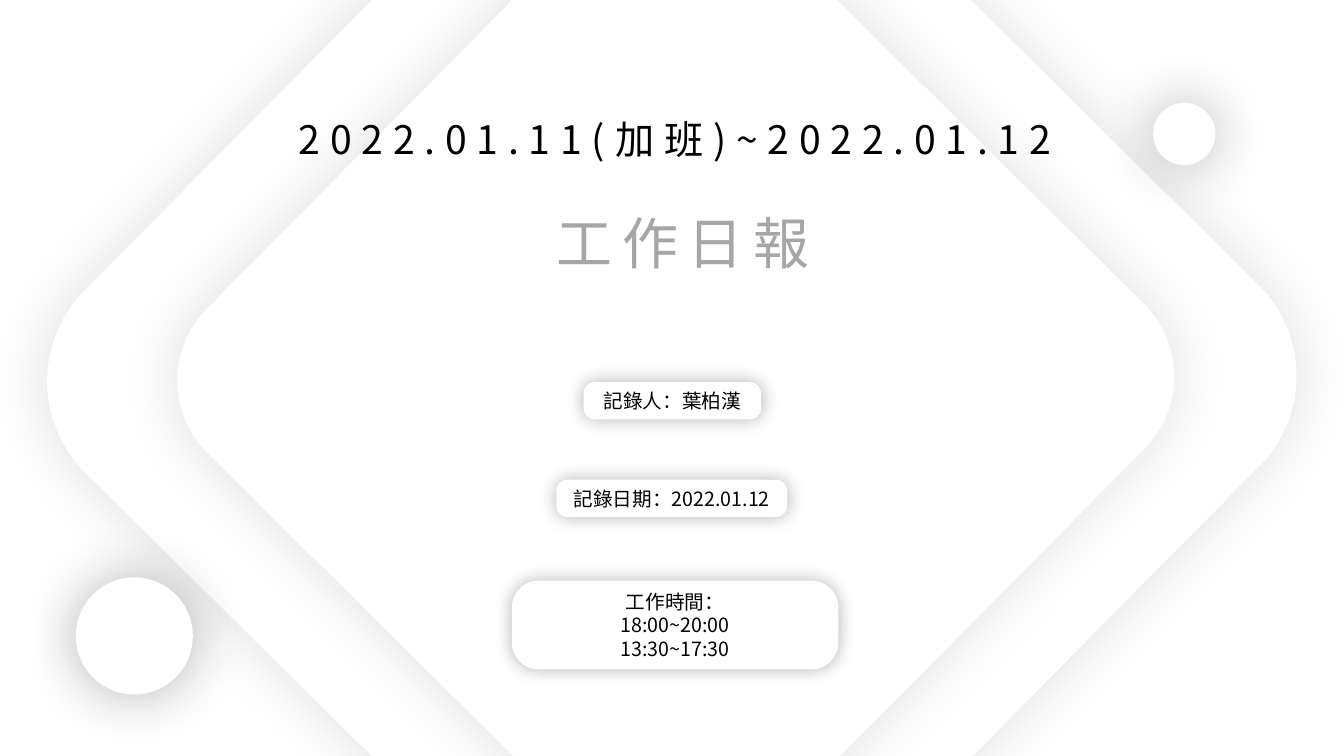
"""Build the cover slide of a daily work report."""
from lxml.etree import SubElement as Sub
from pptx import Presentation
from pptx.dml.color import RGBColor as Rgb
from pptx.enum.shapes import MSO_SHAPE as Kind
from pptx.enum.text import MSO_ANCHOR as Anchor, MSO_AUTO_SIZE as Auto, PP_ALIGN as Align
from pptx.oxml.ns import qn
from pptx.util import Cm, Pt

FONT = "Noto Sans CJK SC"


def add_plate(kind, left, top, wide, high, tint, alpha, blur):
    plate = slide.shapes.add_shape(kind, Cm(left), Cm(top), Cm(wide), Cm(high))
    plate.fill.solid()
    plate.fill.fore_color.rgb = Rgb.from_string("FFFFFF")
    plate.line.fill.background()
    plate.shadow.inherit = False
    glow = Sub(plate.element.spPr.find(qn("a:effectLst")), qn("a:outerShdw"),
               blurRad=str(Pt(blur)), dist="0", dir="0", algn="ctr", rotWithShape="0")
    color = Sub(glow, qn("a:srgbClr"), val=tint)
    Sub(color, qn("a:alpha"), val=str(alpha * 1000))
    return plate


def set_text(shape, text, size, tint, gap=0):
    frame = shape.text_frame
    frame.text = text
    frame.word_wrap = gap > 0
    frame.auto_size = Auto.NONE
    frame.vertical_anchor = Anchor.MIDDLE
    for para in frame.paragraphs:
        para.alignment = Align.CENTER
        para.space_before = Pt(0)
        for run in para.runs:
            run.font.size = Pt(size)
            run.font.name = FONT
            run.font.color.rgb = Rgb.from_string(tint)
            props = run.font._element
            props.set("spc", str(gap * 100))
            Sub(props, qn("a:ea"), typeface=FONT)


deck = Presentation()
deck.slide_width, deck.slide_height = Cm(33.87), Cm(19.05)
slide = deck.slides.add_slide(deck.slide_layouts[0])

for mid, side in [(16.93, 24.16), (17.03, 19.28)]:
    frame = add_plate(Kind.ROUNDED_RECTANGLE, mid - side / 2, 9.54 - side / 2,
                      side, side, "595959", 19, 43)
    frame.adjustments[0] = 0.134
    frame.rotation = 44.7

title, dates = slide.placeholders
heads = [
    (dates, "2022.01.11(加班)~2022.01.12", 28, "000000", 6.76, 2.77, 20.5, 1.45),
    (title, "工作日報", 40, "A6A6A6", 11.18, 5.11, 12.07, 1.96),
]
for head, text, size, tint, left, top, wide, high in heads:
    head.left, head.top, head.width, head.height = Cm(left), Cm(top), Cm(wide), Cm(high)
    set_text(head, text, size, tint, 7)
    head.element.getparent().append(head.element)

for left, top, size in [(1.91, 14.55, 2.95), (29.06, 2.59, 1.57)]:
    add_plate(Kind.OVAL, left, top, size, size, "000000", 30, 43)

cards = [
    ("記錄人：葉柏漢", 14.71, 9.63, 4.47, 0.94),
    ("記錄日期：2022.01.12", 14.02, 12.09, 5.82, 0.94),
    ("工作時間：\n18:00~20:00\n13:30~17:30", 12.9, 14.63, 8.23, 2.24),
]
for text, left, top, wide, high in cards:
    card = add_plate(Kind.ROUNDED_RECTANGLE, left, top, wide, high, "000000", 30, 13)
    card.adjustments[0] = 0.302
    set_text(card, text, 14, "000000")

deck.save("out.pptx")
